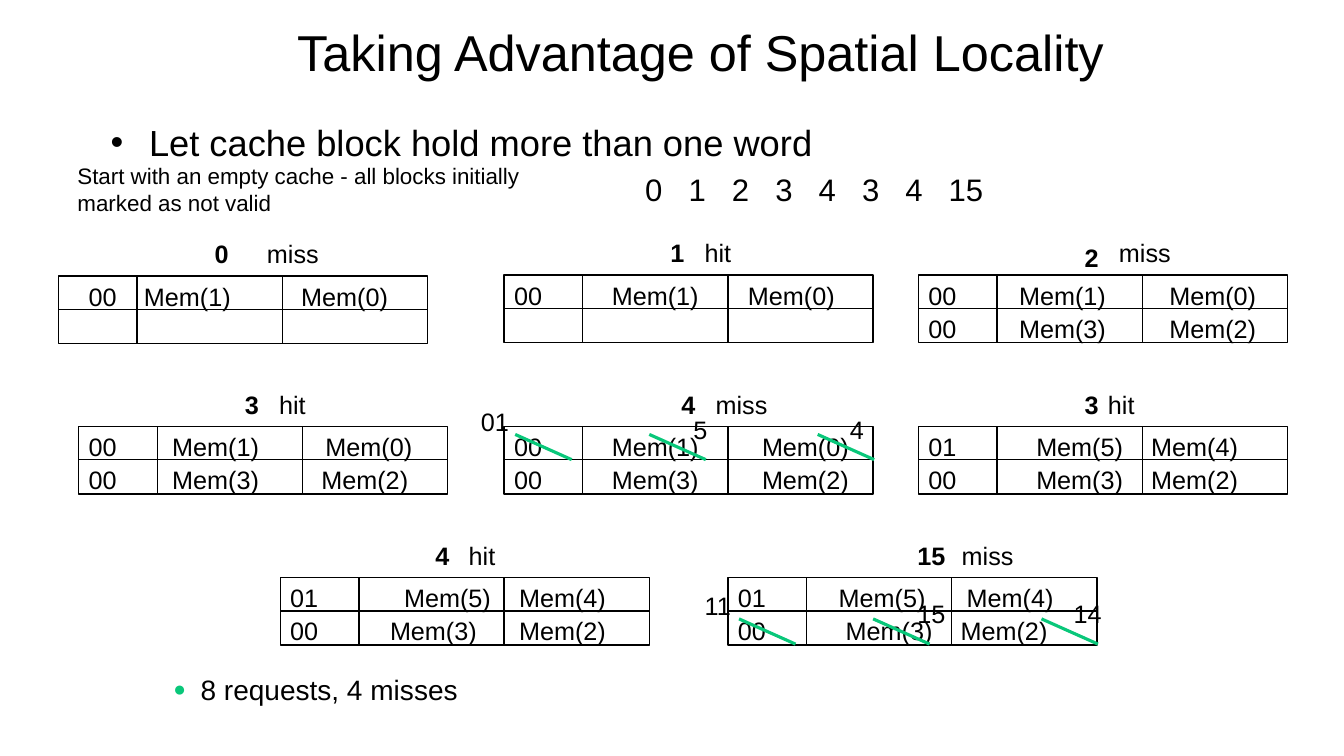
"""Build the slide that traces eight requests through a two-word-block cache."""
from dataclasses import dataclass
from itertools import accumulate

from lxml.etree import SubElement
from pptx import Presentation
from pptx.dml.color import RGBColor
from pptx.enum.shapes import MSO_CONNECTOR, MSO_SHAPE
from pptx.enum.text import MSO_ANCHOR, PP_ALIGN
from pptx.oxml.ns import qn
from pptx.util import Inches, Pt


@dataclass(frozen=True)
class Theme:
    font: str = "Arial"
    ink: str = "000000"
    accent: str = "09C77A"
    title: float = 36
    bullet: float = 25.9
    sequence: float = 22.2
    summary: float = 20
    label: float = 18
    note: float = 16
    border: float = 1
    strike: float = 2.25


THEME = Theme()
TITLE = "Taking Advantage of Spatial Locality"
BULLET = "Let cache block hold more than one word"
NOTE = "Start with an empty cache - all blocks initially marked as not valid"
REQUESTS = ["0", "1", "2", "3", "4", "3", "4", "15"]
SUMMARY = "8 requests, 4 misses"

# fmt: off
STEPS = [
    {"at": (0.58, 2.74), "number": (1.45, -0.42), "result": ("miss", 1.97),
     "rows": [[("00", 0.3), ("Mem(1)", 0.07), ("Mem(0)", 0.19)]]},
    {"at": (5, 2.73), "number": (1.55, -0.42), "result": ("hit", 1.89),
     "rows": [[("00", 0.1), ("Mem(1)", 0.29), ("Mem(0)", 0.2)]]},
    {"at": (9.11, 2.73), "number": (1.55, -0.38), "result": ("miss", 1.89),
     "rows": [[("00", 0.1), ("Mem(1)", 0.22), ("Mem(0)", 0.27)],
              [("00", 0.1), ("Mem(3)", 0.22), ("Mem(2)", 0.27)]]},
    {"at": (0.78, 4.23), "number": (1.55, -0.42), "result": ("hit", 1.89),
     "rows": [[("00", 0.1), ("Mem(1)", 0.15), ("Mem(0)", 0.23)],
              [("00", 0.1), ("Mem(3)", 0.15), ("Mem(2)", 0.19)]]},
    {"at": (5, 4.23), "number": (1.66, -0.42), "result": ("miss", 2),
     "rows": [[("00", 0.1), ("Mem(1)", 0.29), ("Mem(0)", 0.34)],
              [("00", 0.1), ("Mem(3)", 0.29), ("Mem(2)", 0.34)]],
     "replaced": (0, ["01", "5", "4"])},
    {"at": (9.11, 4.23), "number": (1.55, -0.42), "result": ("hit", 1.78),
     "rows": [[("01", 0.1), ("Mem(5)", 0.39), ("Mem(4)", 0.09)],
              [("00", 0.1), ("Mem(3)", 0.39), ("Mem(2)", 0.09)]]},
    {"at": (2.78, 5.73), "number": (1.44, -0.42), "result": ("hit", 1.77),
     "rows": [[("01", 0.1), ("Mem(5)", 0.45), ("Mem(4)", 0.15)],
              [("00", 0.1), ("Mem(3)", 0.31), ("Mem(2)", 0.15)]]},
    {"at": (7.22, 5.73), "number": (1.78, -0.42), "result": ("miss", 2.22),
     "rows": [[("01", 0.1), ("Mem(5)", 0.32), ("Mem(4)", 0.15)],
              [("00", 0.1), ("Mem(3)", 0.39), ("Mem(2)", 0.09)]],
     "replaced": (1, ["11", "15", "14"])},
]
# fmt: on
COLUMN_WIDTHS = [0.78, 1.44, 1.44]
COLUMN_LEFTS = list(accumulate(COLUMN_WIDTHS[:-1], initial=0))
CACHE_HEIGHT, ROW_HEIGHT = 0.67, 0.33
TEXT_INSET = 0.1
RESULT_RISE = -0.42
STRIKE_LEFTS = [0.11, 1.44, 3.11]
STRIKE_TOP, STRIKE_WIDTH, STRIKE_HEIGHT = 0.08, 0.56, 0.25
NEW_VALUE_OFFSETS = [(-0.33, -0.25), (1.78, -0.17), (3.33, -0.17)]
REQUEST_PITCH = 0.43


def add_text(slide, text, box, size, bold=False, wrap=True, inset=(TEXT_INSET, 0.05)):
    shape = slide.shapes.add_textbox(*map(Inches, box))
    frame = shape.text_frame
    frame.word_wrap = wrap
    frame.margin_left = frame.margin_right = Inches(inset[0])
    frame.margin_top = frame.margin_bottom = Inches(inset[1])
    frame.text = text
    for run in frame.paragraphs[0].runs:
        run.font.name = THEME.font
        run.font.size = Pt(size)
        run.font.bold = bold
        run.font.color.rgb = RGBColor.from_string(THEME.ink)
    return shape


def add_label(slide, text, left, top, bold=False):
    width = 0.2 + 0.14 * len(text)
    add_text(slide, text, (left, top, width, 0.4), THEME.label, bold, wrap=False)


def add_line(slide, ends, color, width):
    line = slide.shapes.add_connector(MSO_CONNECTOR.STRAIGHT, *map(Inches, ends))
    line.line.color.rgb = RGBColor.from_string(color)
    line.line.width = Pt(width)
    SubElement(line._element.spPr, qn("a:effectLst"))


def set_bullet(shape, symbol, margin, hanging, color=None, percent=100):
    properties = shape.text_frame.paragraphs[0]._p.get_or_add_pPr()
    properties.set("marL", str(Inches(margin)))
    properties.set("indent", str(-Inches(hanging)))
    if color:
        SubElement(SubElement(properties, qn("a:buClr")), qn("a:srgbClr")).set("val", color)
    SubElement(properties, qn("a:buSzPct")).set("val", str(percent * 1000))
    SubElement(properties, qn("a:buFont")).set("typeface", THEME.font)
    SubElement(properties, qn("a:buChar")).set("char", symbol)


def set_tab_stops(shape, positions):
    properties = shape.text_frame.paragraphs[0]._p.get_or_add_pPr()
    tab_list = SubElement(properties, qn("a:tabLst"))
    for position in positions:
        tab = SubElement(tab_list, qn("a:tab"))
        tab.set("pos", str(Inches(position)))
        tab.set("algn", "l")


def add_cache_frame(slide, left, top):
    for offset, width in zip(COLUMN_LEFTS, COLUMN_WIDTHS):
        x, y = left + offset, top + ROW_HEIGHT
        box = (x, top, width, CACHE_HEIGHT)
        column = slide.shapes.add_shape(MSO_SHAPE.RECTANGLE, *map(Inches, box))
        column.shadow.inherit = False
        column.fill.background()
        column.line.color.rgb = RGBColor.from_string(THEME.ink)
        column.line.width = Pt(THEME.border)
        add_line(slide, (x, y, x + width, y), THEME.ink, THEME.border)


def add_cache_rows(slide, left, top, rows):
    for index, row in enumerate(rows):
        starts = [offset + indent for offset, (_, indent) in zip(COLUMN_LEFTS, row)]
        box = (left + starts[0] - TEXT_INSET, top + index * ROW_HEIGHT, 3.8, 0.4)
        shape = add_text(slide, "\t".join(value for value, _ in row), box, THEME.label)
        set_tab_stops(shape, [start - starts[0] for start in starts[1:]])


def add_replacement(slide, left, top, row, new_values):
    row_top = top + row * ROW_HEIGHT
    for strike_left, (shift, rise), value in zip(STRIKE_LEFTS, NEW_VALUE_OFFSETS, new_values):
        x, y = left + strike_left, row_top + STRIKE_TOP
        ends = (x, y, x + STRIKE_WIDTH, y + STRIKE_HEIGHT)
        add_line(slide, ends, THEME.accent, THEME.strike)
        add_label(slide, value, left + shift, row_top + rise)


def main():
    presentation = Presentation()
    presentation.slide_width, presentation.slide_height = Inches(13.33), Inches(7.5)
    slide = presentation.slides.add_slide(presentation.slide_layouts[6])

    title = add_text(slide, TITLE, (0.93, 0.15, 12.04, 0.71), THEME.title)
    title.text_frame.vertical_anchor = MSO_ANCHOR.MIDDLE
    title.text_frame.paragraphs[0].alignment = PP_ALIGN.CENTER

    bullet = add_text(slide, BULLET, (1, 1.14, 11.44, 0.89), THEME.bullet)
    set_bullet(bullet, "•", 0.38, 0.38)
    add_text(slide, NOTE, (0.67, 1.56, 5, 0.64), THEME.note)
    requests = add_text(slide, "\t".join(REQUESTS), (6.4, 1.69, 4, 0.36),
                        THEME.sequence, inset=(0, 0))
    set_tab_stops(requests, [REQUEST_PITCH * index for index in range(1, len(REQUESTS))])

    for request, step in zip(REQUESTS, STEPS):
        left, top = step["at"]
        number_shift, number_rise = step["number"]
        result, result_shift = step["result"]
        add_cache_frame(slide, left, top)
        add_cache_rows(slide, left, top, step["rows"])
        add_label(slide, request, left + number_shift, top + number_rise, bold=True)
        add_label(slide, result, left + result_shift, top + RESULT_RISE)
        if "replaced" in step:
            add_replacement(slide, left, top, *step["replaced"])

    summary = add_text(slide, SUMMARY, (1.11, 6.64, 11.89, 0.39), THEME.summary,
                       inset=(0.07, 0.03))
    set_bullet(summary, "●", 0.81, 0.27, THEME.accent, 75)
    presentation.save("out.pptx")


if __name__ == "__main__":
    main()
